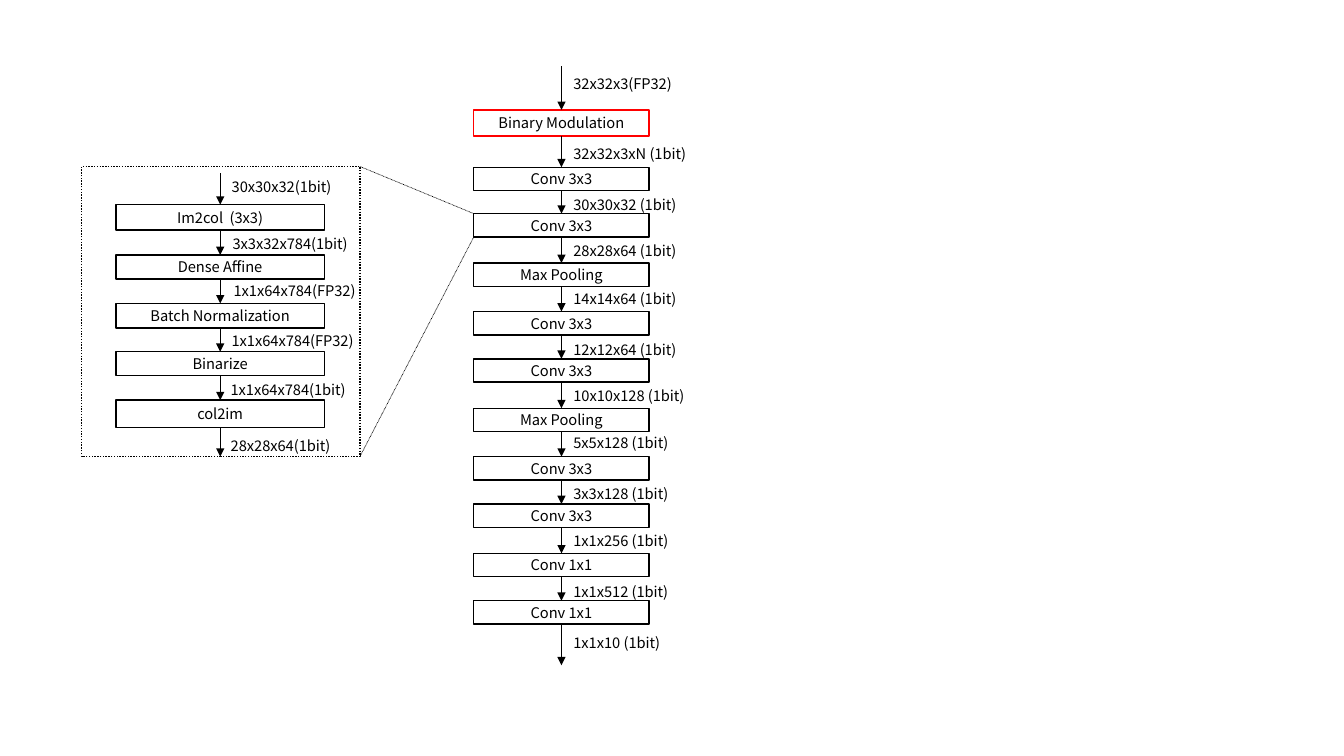
from lxml.etree import SubElement
from pptx import Presentation
from pptx.dml.color import RGBColor
from pptx.enum.dml import MSO_LINE
from pptx.enum.shapes import MSO_CONNECTOR, MSO_SHAPE
from pptx.enum.text import MSO_ANCHOR, MSO_AUTO_SIZE, PP_ALIGN
from pptx.oxml.ns import qn
from pptx.util import Pt

BLACK = RGBColor(0, 0, 0)
RED = RGBColor(255, 0, 0)
FONT = "Noto Sans CJK JP"

# Each layer: name, top, height, outline.
# Each tensor label: text, left, top, width.
NETWORK = {
    "left": 338.4, "width": 125.3, "start": 47.5, "end": 475.2,
    "layers": [
        ("Binary Modulation", 78.5, 18.7, RED),
        ("Conv 3x3", 119.5, 16.7, BLACK),
        ("Conv 3x3", 152.6, 16.7, BLACK),
        ("Max Pooling", 187.9, 16.7, BLACK),
        ("Conv 3x3", 222.5, 16.7, BLACK),
        ("Conv 3x3", 256.3, 16.7, BLACK),
        ("Max Pooling", 291.6, 16.7, BLACK),
        ("Conv 3x3", 326.2, 16.7, BLACK),
        ("Conv 3x3", 360, 16.7, BLACK),
        ("Conv 1x1", 395.3, 16.7, BLACK),
        ("Conv 1x1", 429.1, 16.7, BLACK),
    ],
    "tensors": [
        ("32x32x3(FP32)", 402.5, 49.7, 91.4),
        ("32x32x3xN (1bit)", 402.5, 100.1, 101.5),
        ("30x30x32 (1bit)", 402.5, 136.1, 93.6),
        ("28x28x64 (1bit)", 402.5, 169.2, 93.6),
        ("14x14x64 (1bit)", 402.5, 203.8, 93.6),
        ("12x12x64 (1bit)", 402.5, 239.8, 93.6),
        ("10x10x128 (1bit)", 402.5, 272.9, 100.1),
        ("5x5x128 (1bit)", 402.5, 306.7, 87.8),
        ("3x3x128 (1bit)", 402.5, 342.7, 87.8),
        ("1x1x256 (1bit)", 402.5, 376.6, 87.8),
        ("1x1x512 (1bit)", 402.5, 412.6, 84.2),
        ("1x1x10 (1bit)", 402.5, 449.3, 78.5),
    ],
}
CONV_DETAIL = {
    "left": 82.8, "width": 149, "start": 123.8, "end": 326.2,
    "layers": [
        ("Im2col  (3x3)", 146.2, 18, BLACK),
        ("Dense Affine", 182.2, 17, BLACK),
        ("Batch Normalization", 216.7, 17.6, BLACK),
        ("Binarize", 251.3, 17, BLACK),
        ("col2im", 285.8, 19.6, BLACK),
    ],
    "tensors": [
        ("30x30x32(1bit)", 158.4, 123.8, 87.1),
        ("3x3x32x784(1bit)", 159.1, 164.2, 98.6),
        ("1x1x64x784(FP32)", 159.8, 198, 105.1),
        ("1x1x64x784(FP32)", 158.4, 233.3, 105.1),
        ("1x1x64x784(1bit)", 157.7, 268.6, 98.6),
        ("28x28x64(1bit)", 157.7, 308.2, 87.1),
    ],
}
FRAME_LEFT, FRAME_TOP, FRAME_WIDTH, FRAME_HEIGHT = 58.3, 118.9, 198.8, 207.3
EXPANDED_LAYER = 2  # index of the network layer shown in detail


def write(para, text):
    span = para.add_run()
    span.text = text
    span.font.name = FONT
    span.font.size = Pt(10.5)
    span.font.color.rgb = BLACK
    # East Asian typeface
    SubElement(span.font._element, qn("a:ea")).set("typeface", FONT)


def add_box(page, left, top, width, height, color=BLACK):
    box = page.shapes.add_shape(MSO_SHAPE.RECTANGLE, Pt(left), Pt(top), Pt(width), Pt(height))
    box.shadow.inherit = False
    box.fill.background()
    box.line.color.rgb = color
    box.line.width = Pt(1)
    return box


def add_layer(page, name, left, top, width, height, color):
    box = add_box(page, left, top, width, height, color)
    box.text_frame.vertical_anchor = MSO_ANCHOR.MIDDLE
    para = box.text_frame.paragraphs[0]
    para.alignment = PP_ALIGN.CENTER
    write(para, name)


def add_label(page, text, left, top, width):
    box = page.shapes.add_textbox(Pt(left), Pt(top), Pt(width), Pt(19))
    box.text_frame.word_wrap = False
    box.text_frame.auto_size = MSO_AUTO_SIZE.SHAPE_TO_FIT_TEXT
    write(box.text_frame.paragraphs[0], text)


def add_line(page, x1, y1, x2, y2):
    line = page.shapes.add_connector(MSO_CONNECTOR.STRAIGHT, Pt(x1), Pt(y1), Pt(x2), Pt(y2))
    line.line.color.rgb = BLACK
    line.line.width = Pt(0.5)
    SubElement(line._element.spPr, qn("a:effectLst"))
    return line


def add_arrow(page, x, y1, y2):
    arrow = add_line(page, x, y1, x, y2)
    SubElement(arrow.line._get_or_add_ln(), qn("a:tailEnd")).set("type", "triangle")


def add_flow(page, flow):
    """Draw the layers, the arrows that fill the gaps, and the tensor labels."""
    left, width = flow["left"], flow["width"]
    for name, top, height, color in flow["layers"]:
        add_layer(page, name, left, top, width, height, color)
    tails = [flow["start"]] + [top + height for _, top, height, _ in flow["layers"]]
    heads = [top for _, top, _, _ in flow["layers"]] + [flow["end"]]
    for tail, head in zip(tails, heads):
        add_arrow(page, left + width / 2, tail, head)
    for tensor in flow["tensors"]:
        add_label(page, *tensor)


def add_callout(page):
    """Frame the detail and tie it to the layer that it expands."""
    frame = add_box(page, FRAME_LEFT, FRAME_TOP, FRAME_WIDTH, FRAME_HEIGHT)
    frame.line.dash_style = MSO_LINE.ROUND_DOT
    _, top, height, _ = NETWORK["layers"][EXPANDED_LAYER]
    ends = ((top, FRAME_TOP), (top + height, FRAME_TOP + FRAME_HEIGHT))
    for layer_y, frame_y in ends:
        line = add_line(page, NETWORK["left"], layer_y, FRAME_LEFT + FRAME_WIDTH, frame_y)
        line.line.dash_style = MSO_LINE.ROUND_DOT


def main():
    deck = Presentation()
    deck.slide_width, deck.slide_height = Pt(960), Pt(540)
    page = deck.slides.add_slide(deck.slide_layouts[6])
    add_flow(page, NETWORK)
    add_callout(page)
    add_flow(page, CONV_DETAIL)
    deck.save("out.pptx")


if __name__ == "__main__":
    main()
